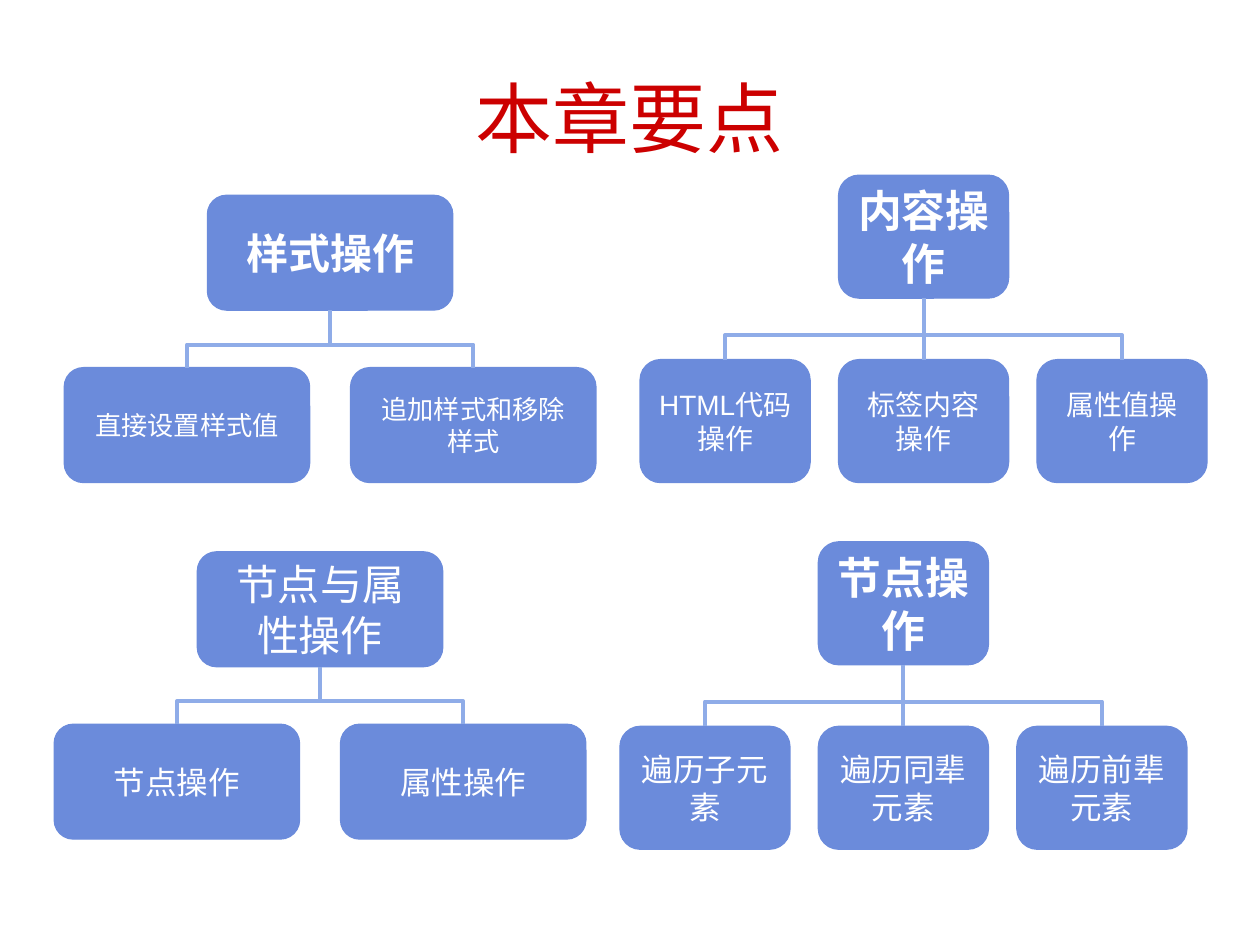
import lxml.etree
import pptx
import pptx.dml.color
import pptx.enum.shapes
import pptx.enum.text
import pptx.oxml.ns
import pptx.util
from pptx.util import Inches

FONT = "Arial"
NODE_COLOR = "6B8BDB"
LINK_COLOR = "8FACE8"
TITLE_COLOR = "CC0000"
TEXT_COLOR = "FFFFFF"

# box (left, top, width, height), root, root size, root bold, leaves, leaf size
TOPICS = [
    ((0.51, 1.55, 4.22, 2.28), "样式操作", 24, True,
     ["直接设置样式值", "追加样式和移除样式"], 15),
    ((5.08, 1.39, 4.5, 2.44), "内容操作", 25, True,
     ["HTML代码操作", "标签内容操作", "属性值操作"], 16),
    ((0.43, 4.38, 4.22, 2.28), "节点与属性操作", 24, False,
     ["节点操作", "属性操作"], 18),
    ((4.92, 4.3, 4.5, 2.44), "节点操作", 25, True,
     ["遍历子元素", "遍历同辈元素", "遍历前辈元素"], 18),
]


def rgb(color):
    return pptx.dml.color.RGBColor.from_string(color)


def set_text(frame, text, size, color, bold=False):
    frame.text = text
    frame.word_wrap = True
    frame.auto_size = pptx.enum.text.MSO_AUTO_SIZE.NONE
    frame.vertical_anchor = pptx.enum.text.MSO_ANCHOR.MIDDLE
    paragraph = frame.paragraphs[0]
    paragraph.alignment = pptx.enum.text.PP_ALIGN.CENTER
    paragraph.font.name = FONT
    paragraph.font.size = pptx.util.Pt(size)
    paragraph.font.bold = bold
    paragraph.font.color.rgb = rgb(color)


def add_title(slide, left, top, width, height):
    title = slide.shapes.title
    title.left, title.top = Inches(left), Inches(top)
    title.width, title.height = Inches(width), Inches(height)
    set_text(title.text_frame, "本章要点", 44, TITLE_COLOR)


def add_node(tree, left, top, width, height, text, size, bold=False):
    node = tree.shapes.add_shape(
        pptx.enum.shapes.MSO_SHAPE.ROUNDED_RECTANGLE,
        Inches(left), Inches(top), Inches(width), Inches(height))
    node.shadow.inherit = False
    node.fill.solid()
    node.fill.fore_color.rgb = rgb(NODE_COLOR)
    node.line.color.rgb = rgb(NODE_COLOR)
    node.line.width = pptx.util.Pt(0.75)
    set_text(node.text_frame, text, size, TEXT_COLOR, bold)


def add_link(tree, leaf_x, leaf_y, root_x, root_y):
    """Join a leaf's top to the root's bottom, straight or by a turned elbow."""
    kinds = pptx.enum.shapes.MSO_CONNECTOR
    spread, drop = root_x - leaf_x, leaf_y - root_y
    straight = abs(spread) < 0.01
    if straight:
        ends = (leaf_x, leaf_y, root_x, root_y)
    else:
        side = 1 if spread > 0 else -1
        mid_x, mid_y = (leaf_x + root_x) / 2, (leaf_y + root_y) / 2
        half_drop, half_spread = side * drop / 2, abs(spread) / 2
        ends = (mid_x + half_drop, mid_y + half_spread,
                mid_x - half_drop, mid_y - half_spread)
    link = tree.shapes.add_connector(
        kinds.STRAIGHT if straight else kinds.ELBOW, *map(Inches, ends))
    link.line.color.rgb = rgb(LINK_COLOR)
    link.line.width = pptx.util.Pt(2.25)
    qn = pptx.oxml.ns.qn
    properties = link._element.spPr
    lxml.etree.SubElement(properties, qn("a:effectLst"))
    if not straight:
        quarter_turn = 90 if side > 0 else 270
        properties.find(qn("a:xfrm")).set("rot", str(quarter_turn * 60000))
        adjustments = properties.find(qn("a:prstGeom")).find(qn("a:avLst"))
        lxml.etree.SubElement(adjustments, qn("a:gd"),
                              name="adj1", fmla="val 40000")


def add_topic_tree(slide, box, root, root_size, root_bold, leaves, leaf_size):
    """Fill the box with a root centred above a row of evenly spaced leaves."""
    left, top, width, height = box
    count = len(leaves)
    node_width = width / (count + (count - 1) / 6)
    pitch = node_width * 7 / 6
    node_height = height * 0.4
    root_x = left + width / 2
    leaf_top = top + height - node_height

    tree = slide.shapes.add_group_shape()
    add_node(tree, root_x - node_width / 2, top, node_width, node_height,
             root, root_size, root_bold)
    for index, leaf in enumerate(leaves):
        leaf_left = left + index * pitch
        add_node(tree, leaf_left, leaf_top, node_width, node_height,
                 leaf, leaf_size)
        add_link(tree, leaf_left + node_width / 2, leaf_top,
                 root_x, top + node_height)


def main():
    presentation = pptx.Presentation()
    presentation.slide_width = Inches(10)
    presentation.slide_height = Inches(7.5)
    slide = presentation.slides.add_slide(presentation.slide_layouts[5])
    add_title(slide, 0.5, 0.3, 9, 1.25)
    for topic in TOPICS:
        add_topic_tree(slide, *topic)
    presentation.save("out.pptx")


if __name__ == "__main__":
    main()
